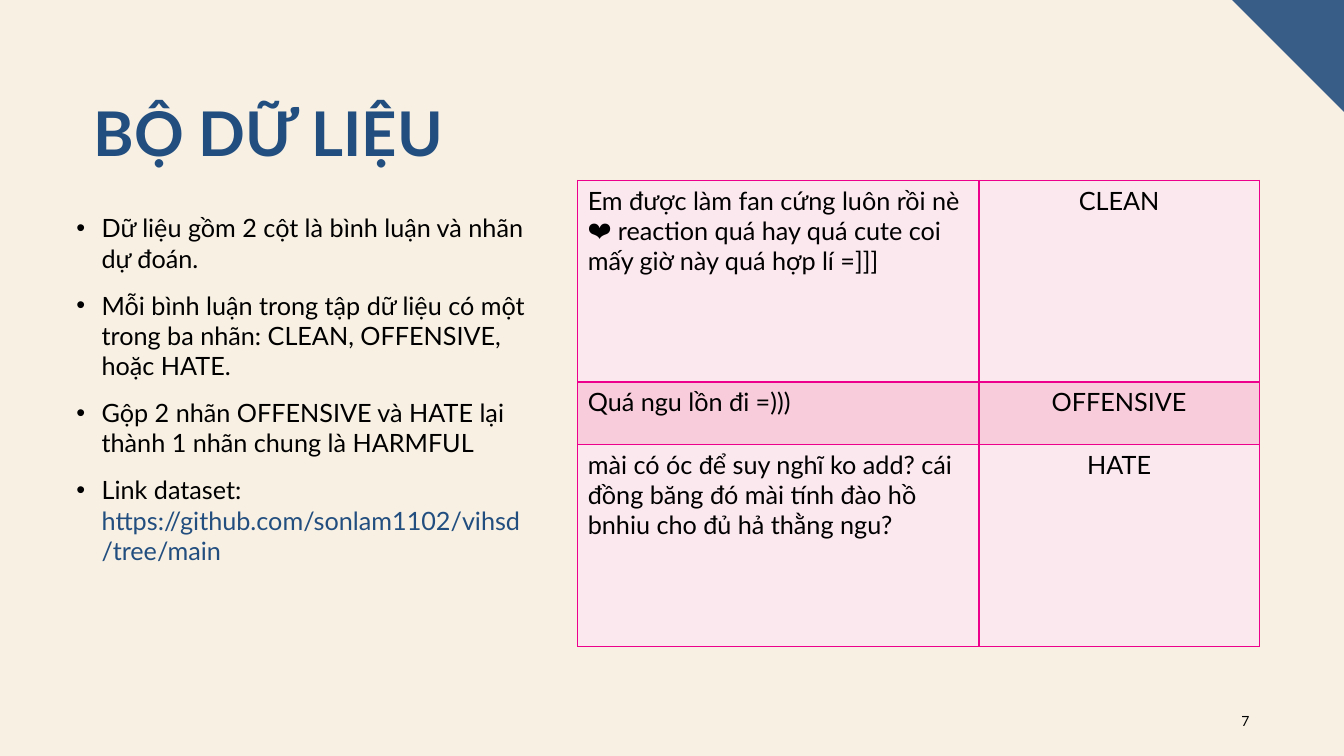
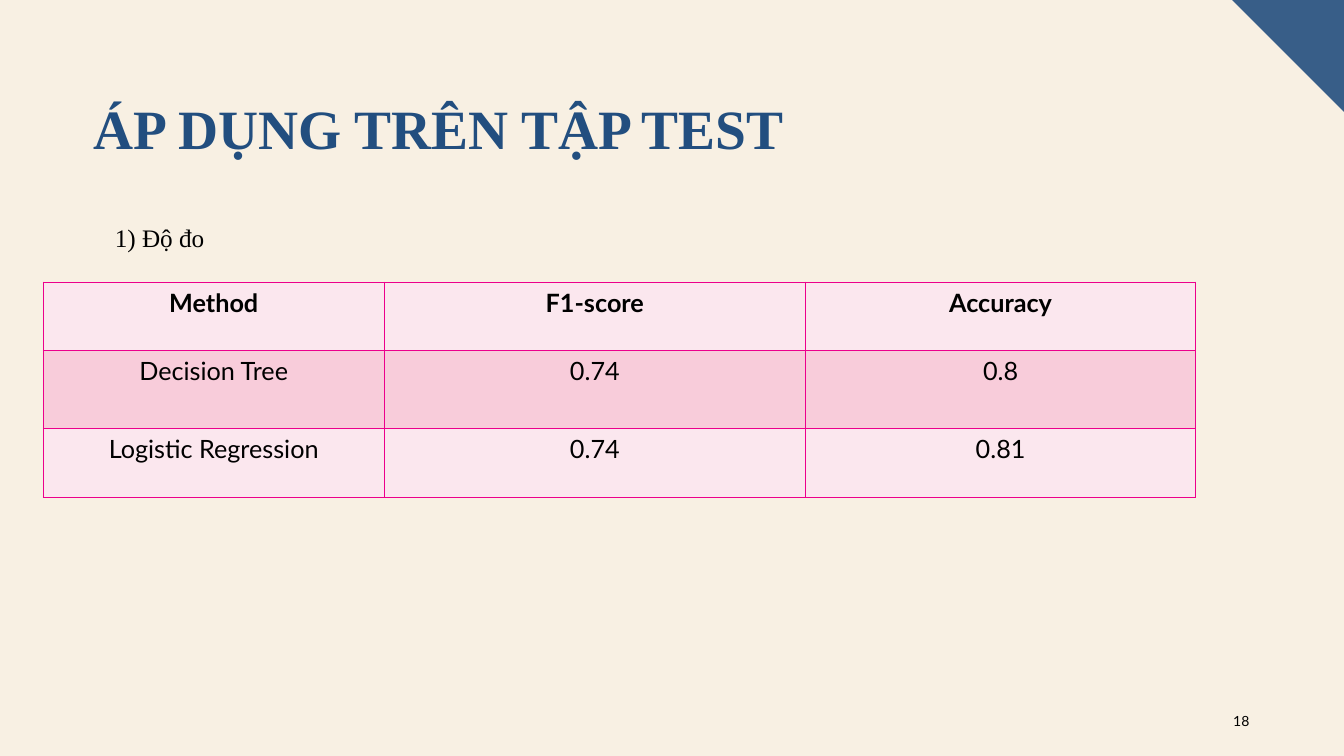
import dataclasses

import lxml.etree
import pptx
import pptx.dml.color
import pptx.enum.text
import pptx.oxml.ns
import pptx.util

Inches = pptx.util.Inches
Pt = pptx.util.Pt
Align = pptx.enum.text.PP_ALIGN
Anchor = pptx.enum.text.MSO_ANCHOR


@dataclasses.dataclass(frozen=True)
class Theme:
    paper: str = "F8F0E3"
    corner: str = "385E88"
    accent: str = "224E7F"
    ink: str = "000000"
    border: str = "EC008C"
    bands: tuple = ("FBE7EE", "F8CCDA")
    sans: str = "Lato"
    serif: str = "Times New Roman"
    title: float = 44
    long: float = 39.6
    body: float = 18
    number: float = 10
    gap: float = 12
    rule: float = 1


THEME = Theme()
WIDTH, HEIGHT = 13.33, 7.5


def color(code):
    return pptx.dml.color.RGBColor.from_string(code)


def element(parent, tag, **values):
    return lxml.etree.SubElement(parent, pptx.oxml.ns.qn(tag), **values)


def add_run(para, text, size=THEME.body, face=THEME.sans, ink=THEME.ink, bold=False):
    run = para.add_run()
    run.text = text
    run.font.size = Pt(size)
    run.font.name = face
    run.font.bold = bold
    run.font.color.rgb = color(ink)


def add_box(slide, box, anchor=Anchor.TOP):
    frame = slide.shapes.add_textbox(*map(Inches, box)).text_frame
    frame.word_wrap = True
    frame.vertical_anchor = anchor
    return frame


def add_corner(slide, side):
    left = WIDTH - side
    pen = slide.shapes.build_freeform(Inches(left), 0)
    pen.add_line_segments([(Inches(WIDTH), 0), (Inches(WIDTH), Inches(side))])
    shape = pen.convert_to_shape()
    shape.shadow.inherit = False
    shape.fill.solid()
    shape.fill.fore_color.rgb = color(THEME.corner)
    shape.line.fill.background()


def add_title(slide, box, text, size, face):
    para = add_box(slide, box).paragraphs[0]
    para.line_spacing = 0.9
    add_run(para, text, size, face, THEME.accent, True)


def add_number(slide, box, number):
    para = add_box(slide, box, Anchor.MIDDLE).paragraphs[0]
    para.alignment = Align.RIGHT
    add_run(para, str(number), THEME.number)


def add_bullets(slide, box, items):
    frame = add_box(slide, box)
    for index, parts in enumerate(items):
        para = frame.add_paragraph() if index else frame.paragraphs[0]
        props = para._p.get_or_add_pPr()
        props.set("marL", str(Inches(0.25)))
        props.set("indent", str(Inches(-0.25)))
        element(props, "a:buFont", typeface="Arial")
        element(props, "a:buChar", char="•")
        para.space_after = Pt(THEME.gap)
        for text, ink in parts:
            add_run(para, text, ink=ink)


def add_borders(cell):
    props = cell._tc.get_or_add_tcPr()
    for edge in "LRTB":
        line = element(props, f"a:ln{edge}", w=str(Pt(THEME.rule)))
        fill = element(line, "a:solidFill")
        element(fill, "a:srgbClr", val=THEME.border)


def add_grid(slide, spot, widths, heights, rows, aligns, header=False):
    box = (*spot, sum(widths), sum(heights))
    table = slide.shapes.add_table(len(rows), len(widths), *map(Inches, box)).table
    table.first_row = header
    table.horz_banding = False
    for column, width in zip(table.columns, widths):
        column.width = Inches(width)
    for row, height in zip(table.rows, heights):
        row.height = Inches(height)
    for top, texts in enumerate(rows):
        for left, text in enumerate(texts):
            cell = table.cell(top, left)
            add_borders(cell)
            cell.fill.solid()
            cell.fill.fore_color.rgb = color(THEME.bands[top % 2])
            para = cell.text_frame.paragraphs[0]
            para.alignment = aligns[left]
            add_run(para, text, bold=header and top == 0)


def add_slide(deck, number):
    slide = deck.slides.add_slide(deck.slide_layouts[6])
    slide.background.fill.solid()
    slide.background.fill.fore_color.rgb = color(THEME.paper)
    add_corner(slide, 1.11)
    add_number(slide, (11.99, 6.95, 0.5, 0.4), number)
    return slide


def build_data(deck):
    slide = add_slide(deck, 7)
    add_title(slide, (0.83, 0.98, 11.67, 1.45), "BỘ DỮ LIỆU", THEME.title, THEME.sans)
    add_bullets(slide, (0.66, 2.06, 4.68, 4.09), [
        [("Dữ liệu gồm 2 cột là bình luận và nhãn dự đoán.", THEME.ink)],
        [("Mỗi bình luận trong tập dữ liệu có một trong ba nhãn: "
          "CLEAN, OFFENSIVE, hoặc HATE.", THEME.ink)],
        [("Gộp 2 nhãn OFFENSIVE và HATE lại thành 1 nhãn chung là HARMFUL", THEME.ink)],
        [("Link dataset: ", THEME.ink),
         ("https://github.com/sonlam1102/vihsd/tree/main", THEME.accent)],
    ])
    rows = [
        ("Em được làm fan cứng luôn rồi nè ❤️ reaction quá hay quá cute "
         "coi mấy giờ này quá hợp lí =]]]", "CLEAN"),
        ("Quá ngu lồn đi =)))", "OFFENSIVE"),
        ("mài có óc để suy nghĩ ko add? cái đồng băng đó mài tính đào hồ "
         "bnhiu cho đủ hả thằng ngu?", "HATE"),
    ]
    add_grid(slide, (5.73, 1.79), (3.98, 2.78), (2, 0.62, 2), rows,
             (Align.LEFT, Align.CENTER))


def build_test(deck):
    slide = add_slide(deck, 18)
    add_title(slide, (0.83, 0.96, 11.67, 0.99), "ÁP DỤNG TRÊN TẬP TEST",
              THEME.long, THEME.serif)
    label = add_box(slide, (1.04, 2.16, 2.47, 0.4))
    add_run(label.paragraphs[0], "1) Độ đo", face=THEME.serif)
    rows = [
        ("Method", "F1-score", "Accuracy"),
        ("Decision Tree", "0.74", "0.8"),
        ("Logistic Regression", "0.74", "0.81"),
    ]
    add_grid(slide, (0.43, 2.8), (3.38, 4.18, 3.87), (0.68, 0.77, 0.69), rows,
             (Align.CENTER,) * 3, header=True)


def main():
    deck = pptx.Presentation()
    deck.slide_width = Inches(WIDTH)
    deck.slide_height = Inches(HEIGHT)
    build_data(deck)
    build_test(deck)
    deck.save("out.pptx")


if __name__ == "__main__":
    main()
